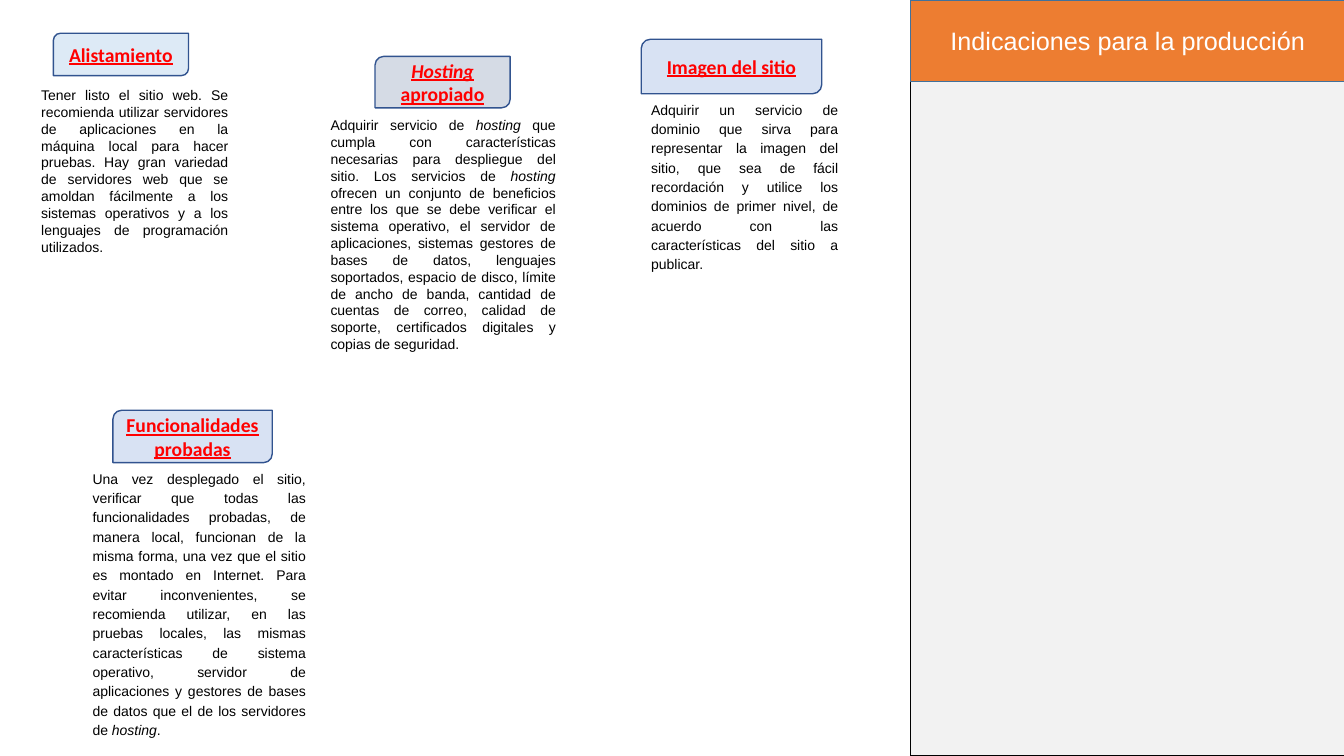
from collections import namedtuple

from pptx import Presentation
from pptx.dml.color import RGBColor
from pptx.enum.shapes import MSO_SHAPE
from pptx.enum.text import MSO_ANCHOR, MSO_AUTO_SIZE, PP_ALIGN
from pptx.util import Emu, Pt

PX_PER_INCH = 100
EMU_PER_PX = 914400 // PX_PER_INCH

WHITE = RGBColor(0xFF, 0xFF, 0xFF)
BLACK = RGBColor(0x00, 0x00, 0x00)
RED = RGBColor(0xFF, 0x00, 0x00)
ORANGE = RGBColor(0xED, 0x7D, 0x31)
PANEL_GRAY = RGBColor(0xF2, 0xF2, 0xF2)
TITLE_LINE = RGBColor(0x42, 0x71, 0x9B)
TAG_LINE = RGBColor(0x31, 0x53, 0x8F)
TAG_SKY = RGBColor(0xDD, 0xEA, 0xF6)
TAG_GRAY = RGBColor(0xD5, 0xDB, 0xE5)
TAG_BLUE = RGBColor(0xD8, 0xE2, 0xF3)

Box = namedtuple("Box", "left top width height")
Tag = namedtuple("Tag", "indent gap width height fill runs")
Card = namedtuple("Card", "box tag line_spacing runs")

CARDS = [
    Card(
        Box(31, 81, 205, 178),
        Tag(22, 6, 134, 42, TAG_SKY, [("Alistamiento", False)]),
        1.0,
        [("Tener listo el sitio web. Se recomienda utilizar servidores de aplicaciones "
          "en la máquina local para hacer pruebas. Hay gran variedad de servidores web "
          "que se amoldan fácilmente a los sistemas operativos y a los lenguajes de "
          "programación utilizados.", False)],
    ),
    Card(
        Box(318, 111, 243, 246),
        Tag(54, 4, 134, 51, TAG_GRAY, [("Hosting", True), (" apropiado", False)]),
        1.0,
        [("Adquirir servicio de ", False),
         ("hosting", True),
         (" que cumpla con características necesarias para despliegue del sitio. "
          "Los servicios de ", False),
         ("hosting", True),
         (" ofrecen un conjunto de beneficios entre los que se debe verificar el "
          "sistema operativo, el servidor de aplicaciones, sistemas gestores de bases "
          "de datos, lenguajes soportados, espacio de disco, límite de ancho de banda, "
          "cantidad de cuentas de correo, calidad de soporte, certificados digitales y "
          "copias de seguridad.", False)],
    ),
    Card(
        Box(636, 93, 205, 183),
        Tag(0, 0, 179, 54, TAG_BLUE, [("Imagen del sitio", False)]),
        1.15,
        [("Adquirir un servicio de dominio que sirva para representar la imagen del "
          "sitio, que sea de fácil recordación y utilice los dominios de primer nivel, "
          "de acuerdo con las características del sitio a publicar.", False)],
    ),
    Card(
        Box(82, 459, 231, 279),
        Tag(30, 0, 158, 52, TAG_BLUE, [("Funcionalidades probadas", False)]),
        1.15,
        [("Una vez desplegado el sitio, verificar que todas las funcionalidades "
          "probadas, de manera local, funcionan de la misma forma, una vez que el sitio "
          "es montado en Internet. Para evitar inconvenientes, se recomienda utilizar, "
          "en las pruebas locales, las mismas características de sistema operativo, "
          "servidor de aplicaciones y gestores de bases de datos que el de los "
          "servidores de ", False),
         ("hosting", True),
         (".", False)],
    ),
]


def px(length):
    return Emu(length * EMU_PER_PX)


def to_emu(box):
    return [px(length) for length in box]


def paint(shape, fill, line):
    shape.fill.solid()
    shape.fill.fore_color.rgb = fill
    shape.line.color.rgb = line
    shape.line.width = Pt(1)


def write(shape, runs, font, size, color, alignment, anchor, bold=False, line_spacing=1.0):
    frame = shape.text_frame
    frame.word_wrap = True
    frame.auto_size = MSO_AUTO_SIZE.NONE
    frame.vertical_anchor = anchor
    frame.margin_left = frame.margin_right = px(10)
    frame.margin_top = frame.margin_bottom = px(5)
    paragraph = frame.paragraphs[0]
    paragraph.alignment = alignment
    paragraph.line_spacing = line_spacing
    for text, italic in runs:
        run = paragraph.add_run()
        run.text = text
        run.font.name = font
        run.font.size = Pt(size)
        run.font.color.rgb = color
        run.font.bold = bold
        run.font.underline = bold
        run.font.italic = italic


def add_preset(slide, preset, box, fill, line):
    shape = slide.shapes.add_shape(preset, *to_emu(box))
    shape.shadow.inherit = False
    paint(shape, fill, line)
    return shape


def add_title_panel(slide, box):
    panel = add_preset(slide, MSO_SHAPE.RECTANGLE, box, PANEL_GRAY, BLACK)
    title = slide.shapes.title
    title.left, title.top, title.width, title.height = to_emu(box._replace(height=81))
    paint(title, ORANGE, TITLE_LINE)
    write(title, [("Indicaciones para la producción", False)], "Arial", 18, WHITE,
          PP_ALIGN.CENTER, MSO_ANCHOR.MIDDLE)
    panel._element.addnext(title._element)


def add_card(slide, card):
    box, tag = card.box, card.tag
    body = slide.shapes.add_textbox(*to_emu(box))
    write(body, card.runs, "Arial", 10, BLACK, PP_ALIGN.JUSTIFY, MSO_ANCHOR.TOP,
          line_spacing=card.line_spacing)
    tag_box = Box(box.left + tag.indent, box.top - tag.gap - tag.height,
                  tag.width, tag.height)
    label = add_preset(slide, MSO_SHAPE.ROUND_2_DIAG_RECTANGLE, tag_box, tag.fill, TAG_LINE)
    write(label, tag.runs, "Calibri", 14, RED, PP_ALIGN.CENTER, MSO_ANCHOR.MIDDLE, bold=True)


def main():
    presentation = Presentation()
    presentation.slide_width = px(1333)
    presentation.slide_height = px(750)
    slide = presentation.slides.add_slide(presentation.slide_layouts[5])
    add_title_panel(slide, Box(903, 0, 431, 750))
    for card in CARDS:
        add_card(slide, card)
    presentation.save("out.pptx")


if __name__ == "__main__":
    main()
